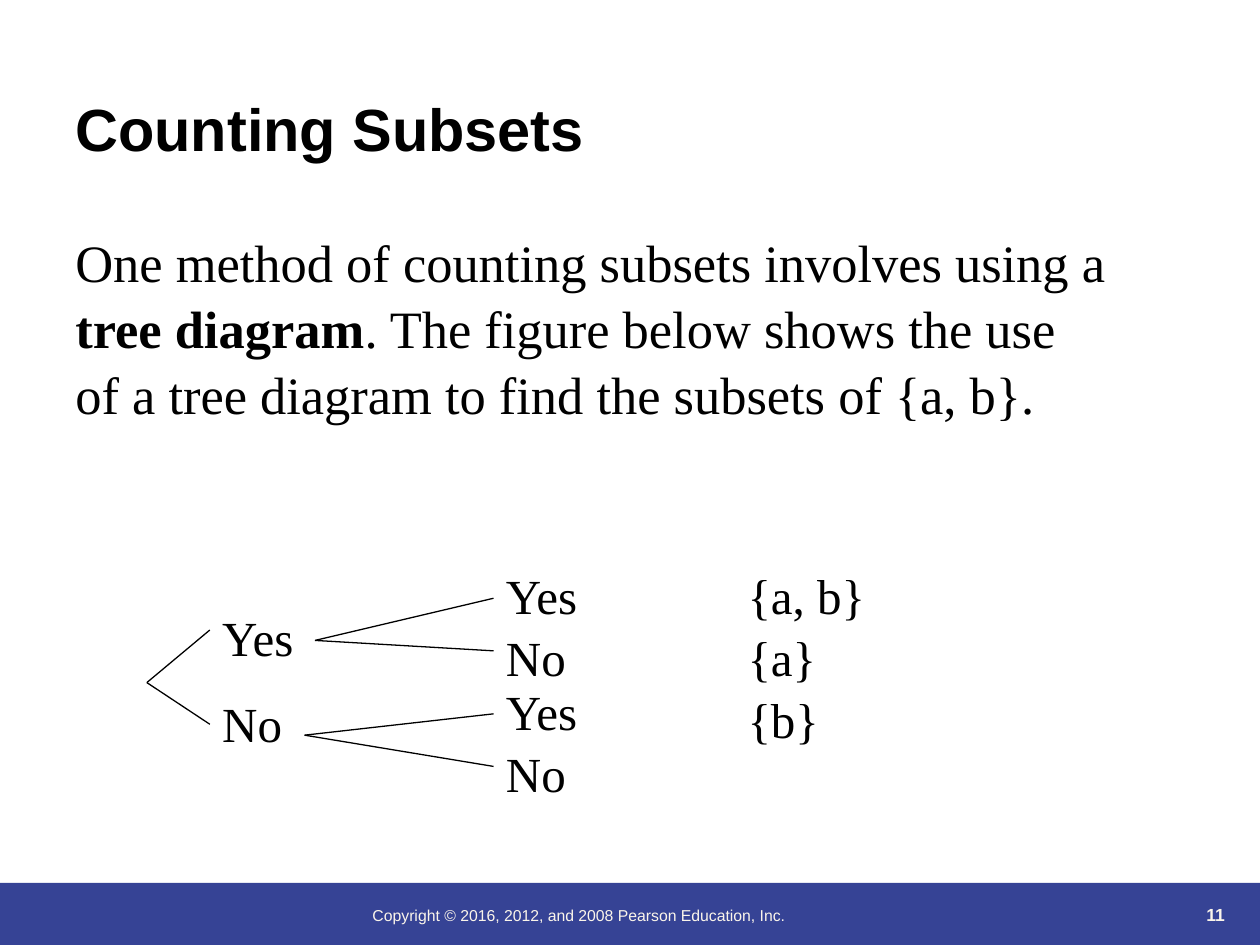
import pptx
import pptx.dml.color
import pptx.enum.shapes
import pptx.enum.text
import pptx.oxml
import pptx.oxml.ns
import pptx.util
from dataclasses import dataclass

Cm, Pt = pptx.util.Cm, pptx.util.Pt
ANCHOR = pptx.enum.text.MSO_ANCHOR
ALIGN = pptx.enum.text.PP_ALIGN


@dataclass(frozen=True)
class Theme:
    ink: str = "000000"
    band: str = "364395"
    cream: str = "FBF5EA"
    sans: str = "Arial"
    serif: str = "Times New Roman"
    title: int = 34
    body: int = 30
    tree: int = 28
    footer: int = 9
    number: int = 10
    line: float = 0.75
    leading: float = 1.05


T = Theme()


def rgb(value):
    return pptx.dml.color.RGBColor.from_string(value)


def apply(obj, values):
    for name, value in values.items():
        setattr(obj, name, value)


def font(size, name=T.serif, color=T.ink, bold=False):
    return {"size": Pt(size), "name": name, "bold": bold, "color": color}


def write(tf, paragraphs, style, para=None, gap=0):
    """Each paragraph is a list of (text, bold) runs."""
    for i, runs in enumerate(paragraphs):
        p = tf.paragraphs[0] if i == 0 else tf.add_paragraph()
        apply(p, para or {})
        if i and gap:
            p.space_before = Pt(gap)
        for text, bold in runs:
            r = p.add_run()
            r.text = text
            values = {**style, "bold": bold}
            r.font.color.rgb = rgb(values.pop("color"))
            apply(r.font, values)


def add_title(s, box, text):
    sp = s.shapes.title
    apply(sp, dict(zip(("left", "top", "width", "height"), map(Cm, box))))
    apply(sp.text_frame, {"vertical_anchor": ANCHOR.BOTTOM, "word_wrap": True,
                          "auto_size": pptx.enum.text.MSO_AUTO_SIZE.NONE})
    write(sp.text_frame, [[(text, True)]], font(T.title, T.sans),
          {"alignment": ALIGN.LEFT})


def add_text(s, box, paragraphs, style, para=None, gap=0, **frame):
    tf = s.shapes.add_textbox(*map(Cm, box)).text_frame
    apply(tf, {"word_wrap": True, **frame})
    write(tf, paragraphs, style, para, gap)


def add_labels(s, box, labels, gap=0, **frame):
    add_text(s, box, [[(label, False)] for label in labels], font(T.tree),
             {"line_spacing": T.leading}, gap, **frame)


def add_fork(s, root, tips):
    for tip in tips:
        c = s.shapes.add_connector(pptx.enum.shapes.MSO_CONNECTOR.STRAIGHT,
                                   *map(Cm, root + tip))
        c.line.color.rgb = rgb(T.ink)
        c.line.width = Pt(T.line)
        effects = pptx.oxml.parse_xml(
            "<a:effectLst %s/>" % pptx.oxml.ns.nsdecls("a"))
        c._element.spPr.append(effects)


def add_footer(s):
    sp = s.shapes.add_shape(pptx.enum.shapes.MSO_SHAPE.RECTANGLE,
                            *map(Cm, (0, 17.8, 25.4, 1.27)))
    sp.shadow.inherit = False
    sp.fill.solid()
    sp.fill.fore_color.rgb = rgb(T.band)
    sp.line.fill.background()
    add_text(s, (7.26, 18.14, 12.5, 1.27),
             [[("Copyright © 2016, 2012, and 2008 Pearson Education, Inc.", False)]],
             font(T.footer, T.sans, T.cream))
    add_text(s, (22.6, 17.5, 2.34, 1.27), [[("11", True)]],
             font(T.number, T.sans, T.cream), {"alignment": ALIGN.RIGHT},
             vertical_anchor=ANCHOR.BOTTOM)


def add_tree(s):
    answers = ["Yes", "No"]
    # First choice
    first_x, second_x = 4.23, 9.95
    add_fork(s, (2.96, 13.76), [(first_x, 12.7), (first_x, 14.6)])
    add_labels(s, (first_x, 12.06, 2.34, 3.23), answers, gap=T.tree / 2)
    # Second choice, one fork for each first answer
    for root, tip_ys, top in (((6.35, 12.91), (12.06, 13.12), 11.22),
                              ((6.14, 14.82), (14.39, 15.45), 13.55)):
        add_fork(s, root, [(second_x, y) for y in tip_ys])
        add_labels(s, (second_x, top, 2.34, 2.62), answers)
    # Resulting subsets
    add_labels(s, (14.82, 11.22, 2.9, 5), ["{a, b}", "{a}", "{b}"],
               word_wrap=False)


def main():
    prs = pptx.Presentation()
    prs.slide_width, prs.slide_height = Cm(25.4), Cm(19.05)
    s = prs.slides.add_slide(prs.slide_layouts[5])
    add_footer(s)
    add_title(s, (1.27, 0.46, 23.93, 2.97), "Counting Subsets")
    add_text(s, (1.27, 4.45, 21.39, 4.06), [[
        ("One method of counting subsets involves using a ", False),
        ("tree diagram", True),
        (". The figure below shows the use of a tree diagram to find "
         "the subsets of {a, b}.", False),
    ]], font(T.body), {"line_spacing": T.leading})
    add_tree(s)
    prs.save("out.pptx")


if __name__ == "__main__":
    main()
